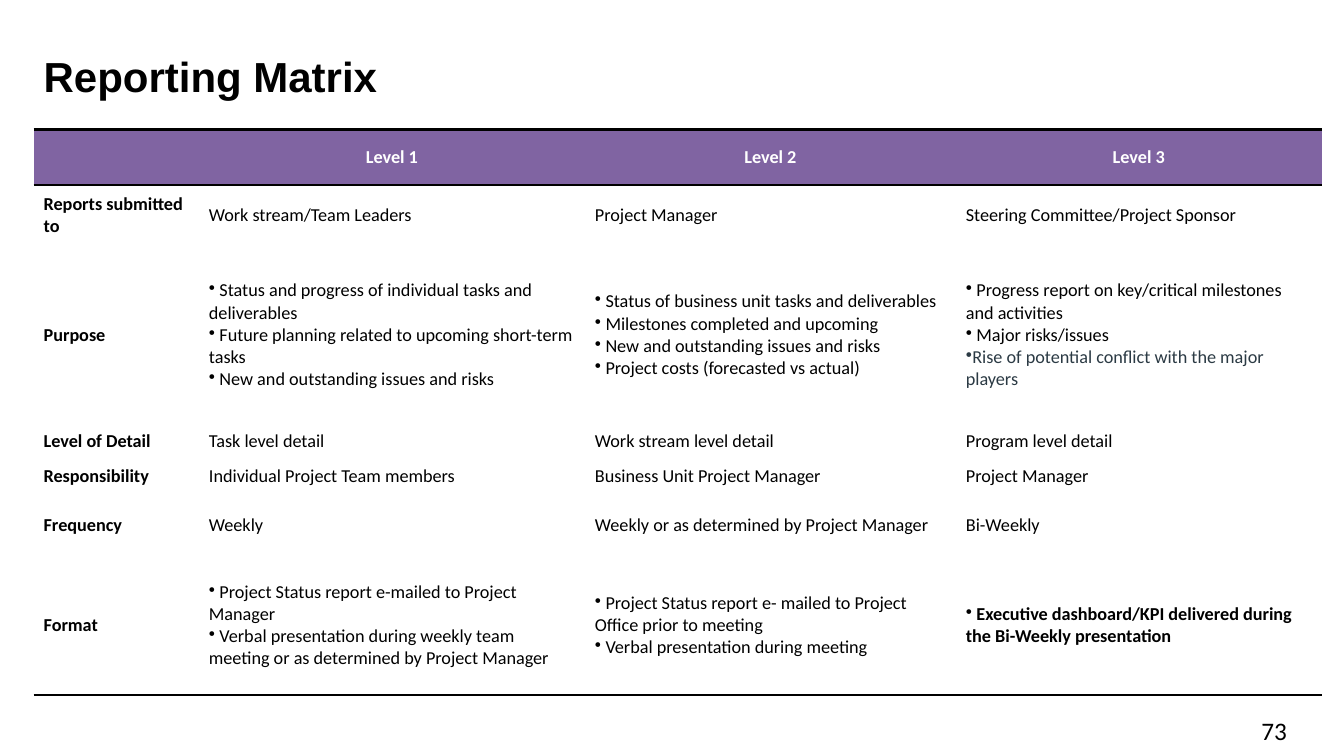
from lxml import etree
from pptx import Presentation
from pptx import util as u
from pptx.dml.color import RGBColor
from pptx.enum import text as t
from pptx.oxml import ns

BLACK = RGBColor(0x00, 0x00, 0x00)
WHITE = RGBColor(0xFF, 0xFF, 0xFF)
PURPLE = RGBColor(0x80, 0x64, 0xA2)
SLATE = RGBColor(0x2B, 0x3A, 0x44)

# Grid sizes of the table
COLS = [19.68, 45.96, 44.16, 43.56]
ROWS = [6.6, 7.32, 21.12, 4.2, 4.2, 7.32, 16.56]

# A list is a bulleted cell
MATRIX = [
    ["", "Level 1", "Level 2", "Level 3"],
    ["Reports submitted to", "Work stream/Team Leaders", "Project Manager",
     "Steering Committee/Project Sponsor"],
    ["Purpose",
     [" Status and progress of individual tasks and deliverables",
      " Future planning related to upcoming short-term tasks",
      " New and outstanding issues and risks"],
     [" Status of business unit tasks and deliverables",
      " Milestones completed and upcoming",
      " New and outstanding issues and risks",
      " Project costs (forecasted vs actual)"],
     [" Progress report on key/critical milestones and activities",
      " Major risks/issues",
      "Rise of potential conflict with the major players"]],
    ["Level of Detail", "Task level detail", "Work stream level detail",
     "Program level detail"],
    ["Responsibility", "Individual Project Team members",
     "Business Unit Project Manager", "Project Manager"],
    ["Frequency", "Weekly", "Weekly or as determined by Project Manager",
     "Bi-Weekly"],
    ["Format",
     [" Project Status report e-mailed to Project Manager",
      " Verbal presentation during weekly team meeting or as determined by "
      "Project Manager"],
     [" Project Status report e- mailed to Project Office prior to meeting",
      " Verbal presentation during meeting"],
     [" Executive dashboard/KPI delivered during the Bi-Weekly presentation"]],
]


class Deck:
    """Style and current slide, on a grid of 160 columns by 90 rows."""

    def __init__(self):
        self.prs = Presentation()
        self.prs.slide_width = u.Inches(13.33)
        self.prs.slide_height = u.Inches(7.5)
        self.slide = self.prs.slides.add_slide(self.prs.slide_layouts[5])

    def wide(self, cols):
        return round(self.prs.slide_width * cols / 160)

    def high(self, rows):
        return round(self.prs.slide_height * rows / 90)

    def area(self, x, y, w, h):
        return self.wide(x), self.high(y), self.wide(w), self.high(h)

    def style(self, para, size, color=BLACK, bold=False, face="Calibri"):
        for run in para.runs:
            font = run.font
            font.name, font.size, font.bold = face, u.Pt(size), bold
            font.color.rgb = color

    def title(self, words, *area):
        box = self.slide.shapes.title
        box.left, box.top, box.width, box.height = self.area(*area)
        frame = box.text_frame
        frame.text = words
        frame.vertical_anchor = t.MSO_ANCHOR.MIDDLE
        frame.paragraphs[0].alignment = t.PP_ALIGN.LEFT
        self.style(frame.paragraphs[0], 30, bold=True, face="Arial")

    def label(self, words, size, *area):
        frame = self.slide.shapes.add_textbox(*self.area(*area)).text_frame
        frame.word_wrap = True
        frame.text = words
        self.style(frame.paragraphs[0], size)

    def bullet(self, para):
        props = para._p.get_or_add_pPr()
        props.set("marL", "0")
        props.set("indent", "0")
        etree.SubElement(props, ns.qn("a:buChar")).set("char", "•")

    def border(self, cell, top, base):
        props = cell._tc.get_or_add_tcPr()
        for side, shown in zip("LRTB", (False, False, top, base)):
            line = etree.SubElement(props, ns.qn("a:ln" + side))
            line.set("w", str(u.Pt(2)))
            if shown:
                fill = etree.SubElement(line, ns.qn("a:solidFill"))
                etree.SubElement(fill, ns.qn("a:srgbClr")).set("val", str(BLACK))
            else:
                etree.SubElement(line, ns.qn("a:noFill"))

    def cell(self, cell, words, head, bold):
        cell.fill.solid()
        cell.fill.fore_color.rgb = PURPLE if head else WHITE
        cell.vertical_anchor = t.MSO_ANCHOR.MIDDLE
        listed = isinstance(words, list)
        cell.text_frame.text = "\n".join(words) if listed else words
        for para in cell.text_frame.paragraphs:
            if listed:
                self.bullet(para)
            para.alignment = t.PP_ALIGN.CENTER if head else t.PP_ALIGN.LEFT
            color = SLATE if para.text.startswith("Rise") else BLACK
            self.style(para, 13, WHITE if head else color, bold)

    def table(self, data, x, y):
        area = self.area(x, y, sum(COLS), sum(ROWS))
        grid = self.slide.shapes.add_table(len(ROWS), len(COLS), *area).table
        grid.horz_banding = False
        for col, size in zip(grid.columns, COLS):
            col.width = self.wide(size)
        for row, size in zip(grid.rows, ROWS):
            row.height = self.high(size)
        end = len(ROWS) - 1
        for r, row in enumerate(data):
            for c, words in enumerate(row):
                cell = grid.cell(r, c)
                self.border(cell, r in (0, 1), r in (0, end))
                bold = r == 0 or c == 0 or (r == end and c == 3)
                self.cell(cell, words, r == 0, bold)


def main():
    deck = Deck()
    # Heading
    deck.title("Reporting Matrix", 4, 5.5, 128, 7)
    # Matrix of reports by level
    deck.table(MATRIX, 4, 15.4)
    # Page number
    deck.label("73", 18, 149, 84.6, 8.3, 4.8)
    deck.prs.save("out.pptx")


if __name__ == "__main__":
    main()
